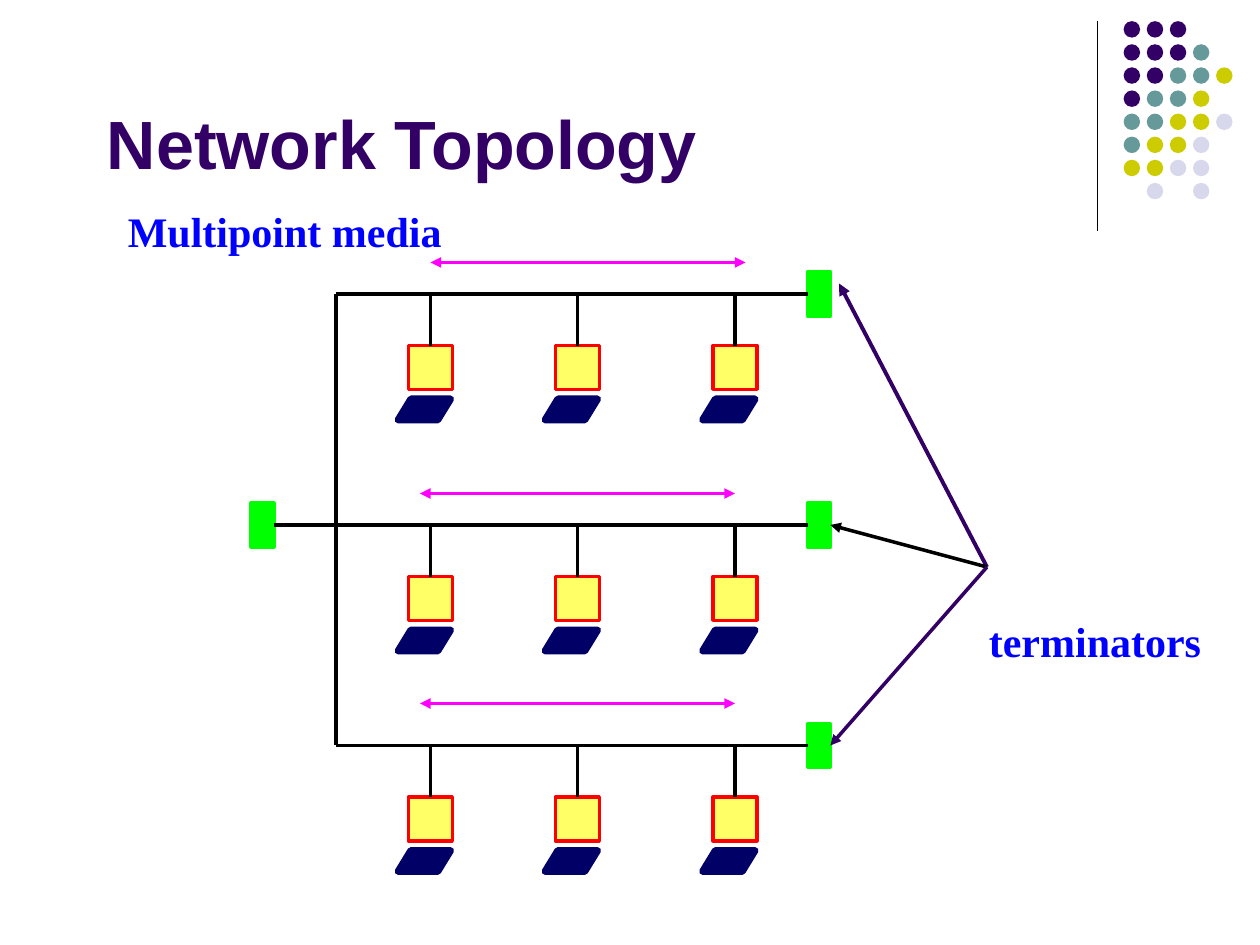
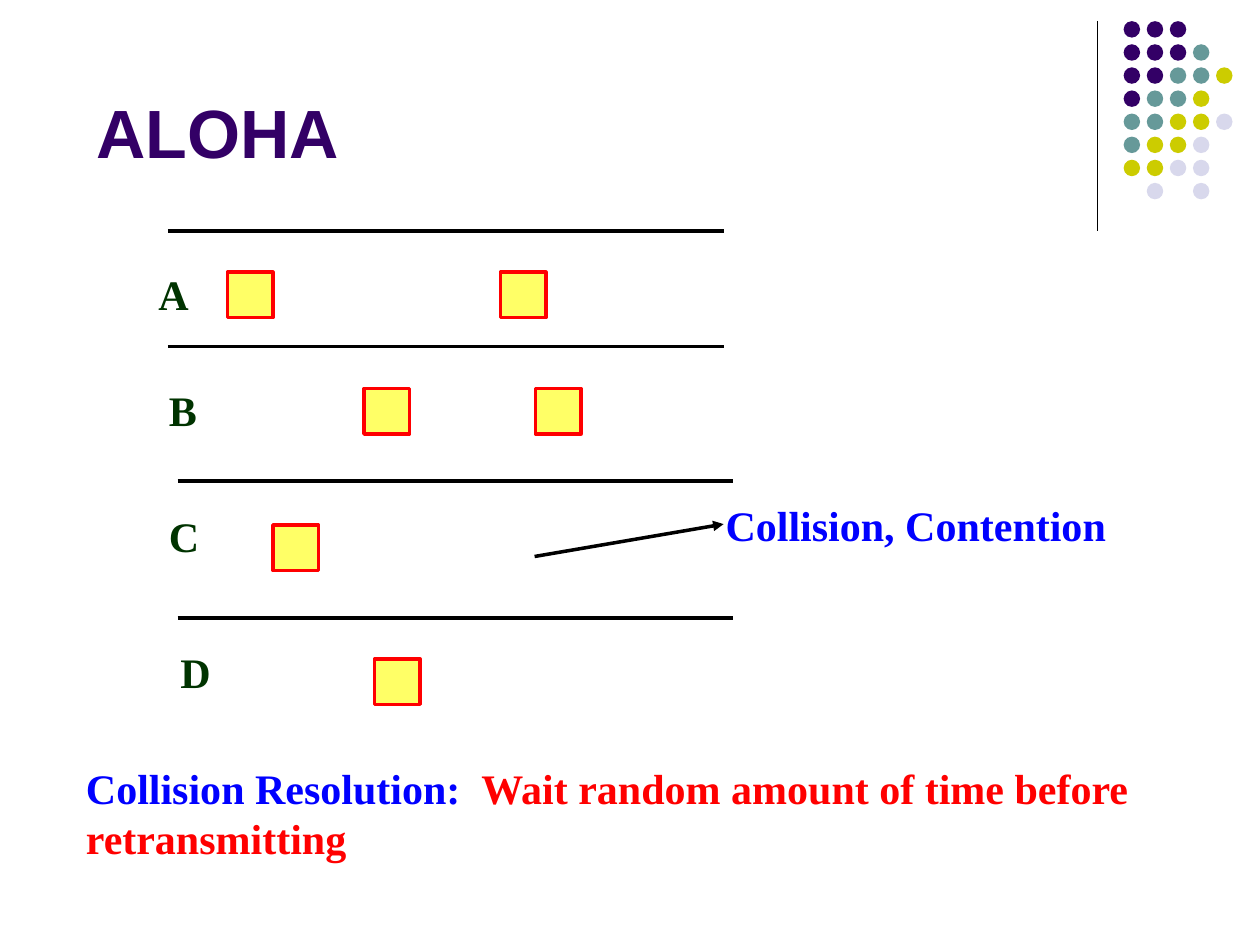
import pptx
import pptx.dml.color
import pptx.enum.shapes
import pptx.enum.text
import pptx.oxml.ns
import pptx.util
import lxml.etree

Pt = pptx.util.Pt
hue = pptx.dml.color.RGBColor.from_string
qn = pptx.oxml.ns.qn
kinds = pptx.enum.shapes.MSO_SHAPE
anchors = pptx.enum.text.MSO_ANCHOR

# Shared colours and fonts
PLUM, TEAL, OLIVE, PALE = "330066", "669999", "CCCC00", "D8D8EC"
BLACK, RED, BLUE, NAVY = "000000", "FF0000", "0000FF", "000066"
YELLOW, LIME, PINK, PINE = "FFFF66", "00FF00", "FF00FF", "003300"
HEAD = ("Arial", 39)
BODY = ("Times New Roman", 24)


def block(host, kind, left, top, width, height, fill, edge=None, weight=2):
    shape = host.add_shape(kind, Pt(left), Pt(top), Pt(width), Pt(height))
    shape.shadow.inherit = False
    shape.fill.solid()
    shape.fill.fore_color.rgb = hue(fill)
    if edge:
        shape.line.color.rgb = hue(edge)
        shape.line.width = Pt(weight)
    else:
        shape.line.fill.background()
    return shape


def link(host, start, end, color=BLACK, weight=2, tips=()):
    wire = host.add_connector(pptx.enum.shapes.MSO_CONNECTOR.STRAIGHT,
                              Pt(start[0]), Pt(start[1]), Pt(end[0]), Pt(end[1]))
    wire.line.color.rgb = hue(color)
    wire.line.width = Pt(weight)
    props = wire.element.spPr
    for tip in tips:
        lxml.etree.SubElement(props.find(qn("a:ln")), qn(tip), type="triangle")
    lxml.etree.SubElement(props, qn("a:effectLst"))
    return wire


deck = pptx.Presentation()
deck.slide_width, deck.slide_height = Pt(720), Pt(540)
net, aloha = [deck.slides.add_slide(deck.slide_layouts[6]) for _ in range(2)]

# Corner decoration on both slides
dots = ["PPP", "PPPT", "PPTTY", "PTTY", "TTYYL", "TYYL", "YYLL", " L L"]
tints = {"P": PLUM, "T": TEAL, "Y": OLIVE, "L": PALE}
for slide in (net, aloha):
    link(slide.shapes, (627, 12), (627, 132), weight=0.75)
    group = slide.shapes.add_group_shape()
    for row, marks in enumerate(dots):
        for col, mark in enumerate(marks):
            if mark in tints:
                block(group.shapes, kinds.OVAL, 642.1 + 13.2 * col,
                      12.1 + 13.2 * row, 9.4, 9.4, tints[mark])

# Topology: three buses, each with stations and a terminator
draw = net.shapes
trunk, edge = 192, 461.5
root = block(draw, kinds.RECTANGLE, 143.5, 287.5, 13, 25, LIME, LIME)
ends = []
for level in (168, 300, 426):
    stop = block(draw, kinds.RECTANGLE, edge, level - 12.5, 13, 25, LIME, LIME)
    ends.append(stop)
    bus = link(draw, (trunk, level), (edge, level))
    bus.end_connect(stop, 1)
    if level == 300:
        bus.begin_connect(root, 3)
    for mid in (246, 330, 420):
        screen = block(draw, kinds.RECTANGLE, mid - 12.5, level + 29.5, 25, 25,
                       YELLOW, RED)
        keys = block(draw, kinds.PARALLELOGRAM, mid - 18.5, level + 60, 30, 12,
                     NAVY, NAVY, 4)
        keys.adjustments[0] = 0.61
        drop = link(draw, (mid, level), (mid, level + 29.5))
        drop.end_connect(screen, 0)
link(draw, (trunk, 168), (trunk, 426))

# Two-way traffic along each bus
for left, top in ((246, 150), (240, 282), (240, 402)):
    link(draw, (left, top), (left + 180, top), PINK,
         tips=("a:headEnd", "a:tailEnd"))

# Pointers to the terminators
hub = (564, 324)
link(draw, hub, (479.5, 162), PLUM, 2.25, ["a:tailEnd"])
for stop, level, color in ((ends[1], 300, BLACK), (ends[2], 426, PLUM)):
    arrow = link(draw, hub, (edge + 13, level), color, tips=["a:tailEnd"])
    arrow.end_connect(stop, 3)

# ALOHA: time lines with the frames of each sender
# name, line left, line top, label left, label top, frame top, frame lefts
rows = [
    ("A", 96, 132, 83.5, 150, 155.5, (130, 286)),
    ("B", 96, 198, 89.5, 216, 222, (208, 306)),
    ("C", 101.5, 275, 89.5, 288, 300, (156, )),
    ("D", 101.5, 353, 96, 366, 376.5, (214, )),
]
labels = []
for name, left, top, x, y, level, frames in rows:
    link(aloha.shapes, (left, top), (left + 317.5, top))
    labels.append((aloha, x, y, 42, 36, BODY, [(name, PINE)]))
    for frame in frames:
        block(aloha.shapes, kinds.RECTANGLE, frame, level, 26, 26, YELLOW, RED)
link(aloha.shapes, (305.5, 318), (413.5, 299.5), tips=["a:tailEnd"])

# All text: slide, left, top, width, height, font, runs
texts = [
    (net, 54, 18, 612, 90, HEAD, [("Network Topology", PLUM)]),
    (net, 66, 114, 360, 36, BODY, [("Multipoint media", BLUE)]),
    (net, 558, 348, 162, 36, BODY, [("terminators", BLUE)]),
    (aloha, 48, 0, 612, 102, HEAD, [("ALOHA", PLUM)]),
    *labels,
    (aloha, 407.5, 282, 264, 36, BODY, [("Collision, Contention", BLUE)]),
    (aloha, 42, 432, 636, 65, BODY,
     [("Collision Resolution:  ", BLUE),
      ("Wait random amount of time before retransmitting", RED)]),
]
for slide, left, top, width, height, style, runs in texts:
    frame = slide.shapes.add_textbox(Pt(left), Pt(top), Pt(width),
                                     Pt(height)).text_frame
    frame.word_wrap = True
    frame.vertical_anchor = anchors.BOTTOM if style is HEAD else anchors.TOP
    for words, color in runs:
        run = frame.paragraphs[0].add_run()
        run.text = words
        run.font.name, run.font.size = style[0], Pt(style[1])
        run.font.bold = True
        run.font.color.rgb = hue(color)

deck.save("out.pptx")
